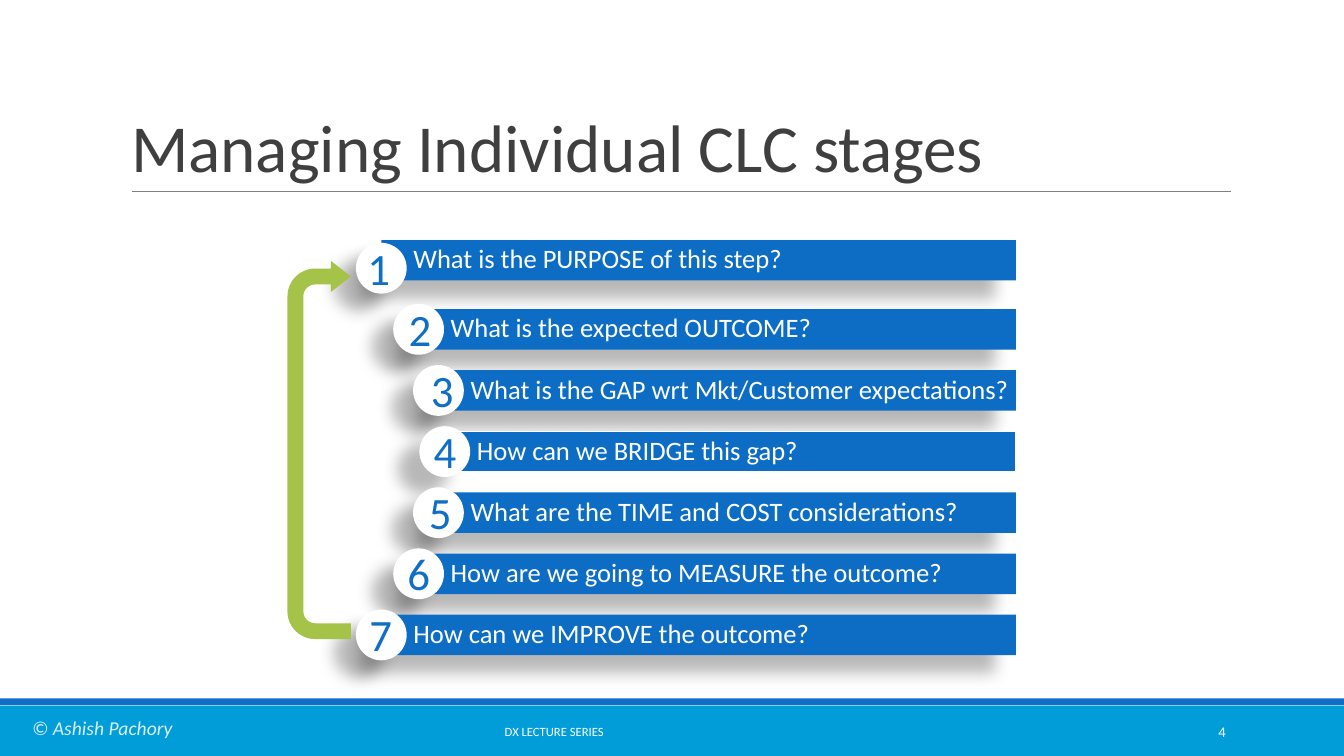
from dataclasses import dataclass

from lxml.etree import SubElement
from pptx import Presentation
from pptx.dml.color import RGBColor
from pptx.enum.shapes import MSO_CONNECTOR, MSO_SHAPE
from pptx.enum.text import MSO_ANCHOR, MSO_AUTO_SIZE, PP_ALIGN
from pptx.oxml.ns import qn
from pptx.util import Cm, Pt


@dataclass(frozen=True)
class Theme:
    font: str = "Calibri"
    white: str = "FFFFFF"
    title: str = "3F3F3F"
    rule: str = "7F7F7F"
    footer: str = "009DD9"
    accent: str = "0F6FC6"
    bar: str = "0D6DC5"
    arrow: str = "A5C249"
    credit: str = "DBEFF9"
    title_size: float = 48
    number_size: float = 32
    question_size: float = 19
    credit_size: float = 14
    page_size: float = 10.5
    series_size: float = 9


theme = Theme()


def add_block(kind, left, top, width, height, color, shadow=False):
    shape = slide.shapes.add_shape(kind, Cm(left), Cm(top), Cm(width), Cm(height))
    shape.fill.solid()
    shape.fill.fore_color.rgb = RGBColor.from_string(color)
    shape.line.fill.background()
    shape.shadow.inherit = False
    if shadow:
        effects = shape._element.spPr.find(qn("a:effectLst"))
        outer = SubElement(effects, qn("a:outerShdw"), blurRad=str(Pt(11.8)),
                           dist=str(Pt(19.7)), dir=str(141 * 60000),
                           algn="ctr", rotWithShape="0")
        shade = SubElement(outer, qn("a:srgbClr"), val="000000")
        SubElement(shade, qn("a:alpha"), val="28000")
    return shape


def write(shape, text, size, color, align=PP_ALIGN.LEFT, anchor=MSO_ANCHOR.MIDDLE,
          spacing=1.0, italic=False):
    frame = shape.text_frame
    frame.text = text
    frame.word_wrap = True
    frame.auto_size = MSO_AUTO_SIZE.NONE
    frame.vertical_anchor = anchor
    paragraph = frame.paragraphs[0]
    paragraph.alignment = align
    paragraph.line_spacing = spacing
    font = paragraph.runs[0].font
    font.name = theme.font
    font.size = Pt(size)
    font.italic = italic
    font.color.rgb = RGBColor.from_string(color)
    return frame


presentation = Presentation()
presentation.slide_width = Cm(33.87)
presentation.slide_height = Cm(19.05)
slide = presentation.slides.add_slide(presentation.slide_layouts[5])

add_block(MSO_SHAPE.RECTANGLE, 0, 17.78, 33.87, 1.27, theme.footer)
add_block(MSO_SHAPE.RECTANGLE, 0, 17.6, 33.87, 0.17, theme.accent)

title = slide.shapes.title
title.left, title.top, title.width, title.height = Cm(3.05), Cm(0.79), Cm(27.94), Cm(4.04)
write(title, "Managing Individual CLC stages", theme.title_size, theme.title,
      anchor=MSO_ANCHOR.BOTTOM, spacing=0.85)

title_rule = slide.shapes.add_connector(
    MSO_CONNECTOR.STRAIGHT, Cm(3.33), Cm(4.82), Cm(31.01), Cm(4.82))
title_rule.line.color.rgb = RGBColor.from_string(theme.rule)
title_rule.line.width = Pt(0.75)
SubElement(title_rule._element.spPr, qn("a:effectLst"))

questions = [
    ("What is the PURPOSE of this step?", 8.97, 9.0),
    ("What is the expected OUTCOME?", 9.91, 10.04),
    ("What is the GAP wrt Mkt/Customer expectations?", 10.41, 10.6),
    ("How can we BRIDGE this gap?", 10.57, 10.67),
    ("What are the TIME and COST considerations?", 10.41, 10.55),
    ("How are we going to MEASURE the outcome?", 9.91, 10.01),
    ("How can we IMPROVE the outcome?", 8.97, 9.05),
]
first_top, row_pitch = 6.12, 1.54
circle_size, bar_height, bars_right = 1.28, 1.02, 25.6
outlined_row = 4

for number, (question, circle_left, number_left) in enumerate(questions, start=1):
    circle_top = first_top + (number - 1) * row_pitch
    bar_left = circle_left + circle_size / 2
    bar_top = circle_top + (-0.07 if number == 1 else 0.13)
    bar = add_block(MSO_SHAPE.RECTANGLE, bar_left, bar_top, bars_right - bar_left,
                    bar_height, theme.bar, shadow=number != outlined_row)
    if number == outlined_row:
        bar.line.color.rgb = RGBColor.from_string(theme.white)
        bar.line.width = Pt(1)
    frame = write(bar, question, theme.question_size, theme.white, spacing=0.9)
    frame.margin_left = Cm(0.81)
    frame.margin_right = Cm(0.13)
    add_block(MSO_SHAPE.OVAL, circle_left, circle_top, circle_size, circle_size,
              theme.white, shadow=True)
    number_box = slide.shapes.add_textbox(
        Cm(number_left), Cm(circle_top - 0.19), Cm(1.09), Cm(1.63))
    write(number_box, str(number), theme.number_size, theme.accent,
          align=PP_ALIGN.CENTER, anchor=MSO_ANCHOR.TOP)

return_arrow = add_block(MSO_SHAPE.U_TURN_ARROW, 3.28, 10.54, 9.53, 1.6, theme.arrow)
return_arrow.rotation = 270
for index, value in enumerate([0.25, 0.244, 0.313, 0.438, 0.998]):
    return_arrow.adjustments[index] = value

series = slide.shapes.add_textbox(Cm(12.47), Cm(17.93), Cm(11.15), Cm(1.02))
write(series, "DX LECTURE SERIES", theme.series_size, theme.white)
page = slide.shapes.add_textbox(Cm(27.51), Cm(17.93), Cm(3.63), Cm(1.02))
write(page, "4", theme.page_size, theme.white, align=PP_ALIGN.RIGHT)
credit = slide.shapes.add_textbox(Cm(0.56), Cm(17.91), Cm(5.33), Cm(0.86))
write(credit, "© Ashish Pachory", theme.credit_size, theme.credit,
      anchor=MSO_ANCHOR.TOP, italic=True)

presentation.save("out.pptx")
